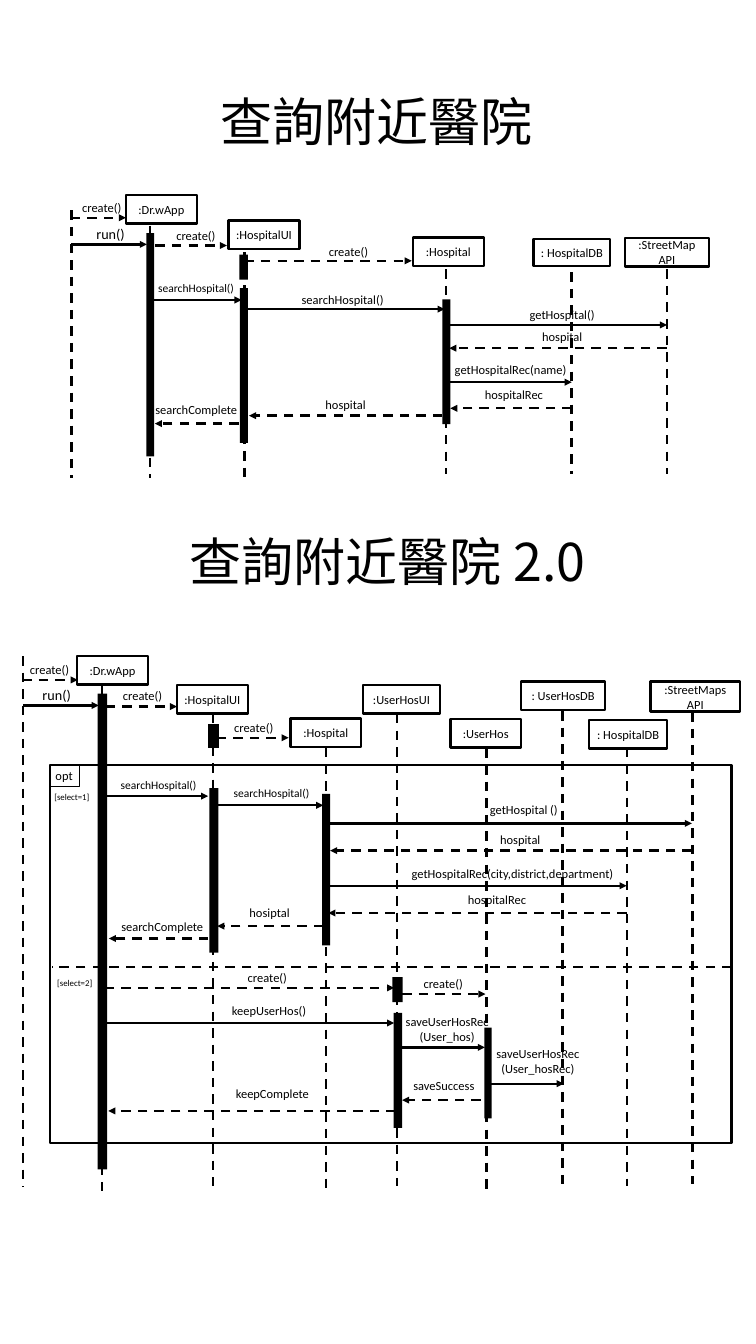
from dataclasses import dataclass
from typing import NamedTuple

from lxml import etree
from pptx import Presentation
from pptx.dml.color import RGBColor
from pptx.enum.dml import MSO_LINE_DASH_STYLE as Dash
from pptx.enum.shapes import MSO_CONNECTOR as Connector, MSO_SHAPE as Shape
from pptx.enum.text import MSO_ANCHOR as Anchor, MSO_AUTO_SIZE as AutoSize, PP_ALIGN as Align
from pptx.oxml.ns import qn
from pptx.util import Inches, Pt


@dataclass(frozen=True)
class Theme:
    ink: RGBColor = RGBColor(0, 0, 0)
    font: str = "Calibri"
    title_font: str = "Noto Sans CJK SC"
    title: float = 66
    run: float = 18
    body: float = 15.8
    search: float = 14.6
    guard: float = 11.2
    line: float = 3
    thin: float = 0.75


THEME = Theme()
SOLID, DASHED = False, True


class Box(NamedTuple):
    left: float
    top: float
    width: float
    height: float
    text: str = ""


class Lifeline(NamedTuple):
    x: float
    top: float
    bottom: float


class Label(NamedTuple):
    text: str
    left: float
    top: float
    width: float
    size: float = THEME.body


class Message(NamedTuple):
    start: float
    end: float
    y: float
    dashed: bool
    label: Label


class Diagram(NamedTuple):
    title: Label
    lifelines: list[Lifeline]
    objects: list[Box]
    activations: list[Box]
    messages: list[Message]


SEARCH = Diagram(
    Label("查詢附近醫院", 3.79, 1.53, 5.76, THEME.title),
    [Lifeline(1.26, 3.71, 8.43), Lifeline(2.65, 3.98, 8.43), Lifeline(4.31, 4.45, 8.43),
     Lifeline(7.86, 4.75, 8.35), Lifeline(10.08, 4.8, 8.35), Lifeline(11.76, 4.75, 8.35)],
    [Box(2.22, 3.44, 1.25, 0.5, ":Dr.wApp"), Box(4.03, 3.89, 1.25, 0.5, ":HospitalUI"),
     Box(7.28, 4.19, 1.25, 0.5, ":Hospital"), Box(9.41, 4.21, 1.35, 0.48, ": HospitalDB"),
     Box(11.02, 4.2, 1.48, 0.5, ":StreetMap\nAPI")],
    [Box(2.58, 4.11, 0.14, 3.94), Box(4.22, 4.49, 0.15, 0.44),
     Box(4.23, 5.08, 0.14, 2.73), Box(7.8, 5.28, 0.14, 2.2)],
    [Message(1.25, 2.22, 3.84, DASHED, Label("create()", 1.35, 3.47, 0.9)),
     Message(1.26, 2.59, 4.31, SOLID, Label("run()", 1.6, 3.92, 0.71, THEME.run)),
     Message(2.74, 4, 4.33, DASHED, Label("create()", 3.01, 3.97, 0.9)),
     Message(4.31, 7.26, 4.6, DASHED, Label("create()", 5.7, 4.26, 0.9)),
     Message(2.66, 4.26, 5.29, SOLID, Label("searchHospital()", 2.69, 4.9, 1.56, THEME.search)),
     Message(4.27, 7.84, 5.45, SOLID, Label("searchHospital()", 5.22, 5.1, 1.68)),
     Message(7.92, 11.76, 5.73, SOLID, Label("getHospital()", 9.24, 5.36, 1.35)),
     Message(11.76, 7.92, 6.14, DASHED, Label("hospital", 9.46, 5.76, 0.91)),
     Message(7.94, 10.08, 6.74, SOLID, Label("getHospitalRec(name)", 7.92, 6.34, 2.26)),
     Message(10.08, 7.94, 7.2, DASHED, Label("hospitalRec", 8.45, 6.78, 1.23)),
     Message(7.8, 4.39, 7.33, DASHED, Label("hospital", 5.64, 6.95, 0.91)),
     Message(4.21, 2.73, 7.47, DASHED, Label("searchComplete", 2.64, 7.04, 1.66))])

SEARCH_2 = Diagram(
    Label("查詢附近醫院 2.0", 3.25, 9.29, 7.27, THEME.title),
    [Lifeline(0.4, 11.57, 20.92), Lifeline(1.8, 12.08, 21.04), Lifeline(3.76, 12.58, 20.92),
     Lifeline(5.75, 13.19, 21.04), Lifeline(7, 12.59, 20.92), Lifeline(8.58, 13.2, 21.04),
     Lifeline(9.92, 12.54, 20.92), Lifeline(11.05, 13.19, 20.92), Lifeline(12.21, 12.56, 20.88)],
    [Box(1.36, 11.57, 1.25, 0.5, ":Dr.wApp"), Box(3.12, 12.08, 1.25, 0.5, ":HospitalUI"),
     Box(5.12, 12.67, 1.25, 0.5, ":Hospital"), Box(6.4, 12.08, 1.36, 0.5, ":UserHosUI"),
     Box(7.94, 12.68, 1.25, 0.5, ":UserHos"), Box(9.19, 12.02, 1.48, 0.5, ": UserHosDB"),
     Box(10.39, 12.7, 1.37, 0.5, ": HospitalDB"),
     Box(11.47, 12.02, 1.58, 0.53, ":StreetMaps\nAPI")],
    [Box(1.72, 12.23, 0.17, 8.39), Box(3.67, 12.77, 0.19, 0.42), Box(3.69, 13.9, 0.16, 2.9),
     Box(5.68, 14, 0.14, 2.67), Box(6.92, 17.23, 0.18, 0.44), Box(6.94, 17.86, 0.15, 2.03),
     Box(8.54, 18.12, 0.13, 1.6)],
    [Message(0.39, 1.37, 11.99, DASHED, Label("create()", 0.43, 11.62, 0.9)),
     Message(0.41, 1.74, 12.44, SOLID, Label("run()", 0.65, 12.06, 0.71, THEME.run)),
     Message(1.86, 3.12, 12.46, DASHED, Label("create()", 2.07, 12.09, 0.9)),
     Message(3.82, 5.09, 13.01, DASHED, Label("create()", 4.03, 12.65, 0.9)),
     Message(1.89, 3.67, 14.04, SOLID, Label("searchHospital()", 2.03, 13.67, 1.56, THEME.search)),
     Message(3.7, 5.7, 14.2, SOLID, Label("searchHospital()", 4.02, 13.82, 1.56, THEME.search)),
     Message(5.82, 12.2, 14.52, SOLID, Label("getHospital ()", 8.54, 14.1, 1.42)),
     Message(12.2, 5.82, 15, DASHED, Label("hospital", 8.72, 14.62, 0.92)),
     Message(5.78, 11.05, 15.62, SOLID,
             Label("getHospitalRec(city,district,department)", 7.16, 15.22, 3.85)),
     Message(11.05, 5.79, 16.1, DASHED, Label("hospitalRec", 8.15, 15.68, 1.25)),
     Message(5.7, 3.83, 16.33, DASHED, Label("hosiptal", 4.3, 15.91, 0.91)),
     Message(3.67, 1.92, 16.55, DASHED, Label("searchComplete", 2.04, 16.15, 1.65)),
     Message(1.85, 6.95, 17.42, DASHED, Label("create()", 4.27, 17.05, 0.9)),
     Message(7.09, 8.56, 17.53, DASHED, Label("create()", 7.37, 17.16, 0.9)),
     Message(1.87, 6.95, 18.04, SOLID, Label("keepUserHos()", 3.99, 17.63, 1.52)),
     Message(7.09, 8.55, 18.47, SOLID, Label("saveUserHosRec\n(User_hos)", 7.05, 17.83, 1.67)),
     Message(8.57, 9.94, 19.11, SOLID, Label("saveUserHosRec\n(User_hosRec)", 8.58, 18.4, 1.81)),
     Message(8.48, 7.09, 19.4, DASHED, Label("saveSuccess", 7.19, 18.96, 1.28)),
     Message(6.98, 1.91, 19.59, DASHED, Label("keepComplete", 4.06, 19.1, 1.5))])

OPT_FRAME = Box(0.88, 13.49, 12.02, 6.67)
OPT_TAB = Box(0.88, 13.49, 0.52, 0.37, "opt")
OPT_DIVIDER_Y = 17.05
GUARDS = [Label("[select=1]", 0.86, 13.91, 0.83, THEME.guard),
          Label("[select=2]", 0.91, 17.19, 0.83, THEME.guard)]


def write(text_frame, text: str, size: float, align: Align, font: str = THEME.font) -> None:
    text_frame.text = text
    for paragraph in text_frame.paragraphs:
        paragraph.alignment = align
        for run in paragraph.runs:
            run.font.size = Pt(size)
            run.font.name = font
            run.font.color.rgb = THEME.ink
            etree.SubElement(run.font._element, qn("a:ea"), typeface=font)


def draw_line(slide, x1: float, y1: float, x2: float, y2: float, dashed: bool, arrow: bool = False) -> None:
    connector = slide.shapes.add_connector(
        Connector.STRAIGHT, Inches(x1), Inches(y1), Inches(x2), Inches(y2))
    connector.line.color.rgb = THEME.ink
    connector.line.width = Pt(THEME.line)
    if dashed:
        connector.line.dash_style = Dash.DASH
    if arrow:
        etree.SubElement(connector.line._get_or_add_ln(), qn("a:tailEnd"), type="triangle")
    etree.SubElement(connector._element.spPr, qn("a:effectLst"))


def draw_box(slide, box: Box, filled: bool = False, line: float = THEME.line, align: Align = Align.CENTER) -> None:
    shape = slide.shapes.add_shape(Shape.RECTANGLE, *map(Inches, box[:4]))
    shape.shadow.inherit = False
    if filled:
        shape.fill.solid()
        shape.fill.fore_color.rgb = THEME.ink
        shape.line.fill.background()
    else:
        shape.fill.background()
        shape.line.color.rgb = THEME.ink
        shape.line.width = Pt(line)
    if box.text:
        shape.text_frame.vertical_anchor = Anchor.MIDDLE
        write(shape.text_frame, box.text, THEME.body, align)


def draw_label(slide, label: Label, font: str = THEME.font, wrap: bool = False) -> None:
    lines = label.text.count("\n") + 1
    height = 0.1 + lines * label.size / 60
    text_box = slide.shapes.add_textbox(*map(Inches, (label.left, label.top, label.width, height)))
    text_box.text_frame.word_wrap = wrap
    text_box.text_frame.auto_size = AutoSize.SHAPE_TO_FIT_TEXT
    write(text_box.text_frame, label.text, label.size, Align.CENTER if lines > 1 else Align.LEFT, font)


def draw_diagram(slide, diagram: Diagram) -> None:
    draw_label(slide, diagram.title, THEME.title_font, wrap=True)
    for x, top, bottom in diagram.lifelines:
        draw_line(slide, x, top, x, bottom, DASHED)
    for box in diagram.objects:
        draw_box(slide, box)
    for bar in diagram.activations:
        draw_box(slide, bar, filled=True)
    for message in diagram.messages:
        draw_line(slide, message.start, message.y, message.end, message.y, message.dashed, arrow=True)
        draw_label(slide, message.label)


def draw_opt_frame(slide) -> None:
    draw_box(slide, OPT_FRAME)
    draw_box(slide, OPT_TAB, line=THEME.thin, align=Align.LEFT)
    draw_line(slide, OPT_FRAME.left + OPT_FRAME.width, OPT_DIVIDER_Y, 0.91, OPT_DIVIDER_Y, DASHED)
    for guard in GUARDS:
        draw_label(slide, guard)


def main() -> None:
    presentation = Presentation()
    presentation.slide_width, presentation.slide_height = Inches(13.33), Inches(23.7)
    slide = presentation.slides.add_slide(presentation.slide_layouts[6])
    draw_diagram(slide, SEARCH)
    draw_opt_frame(slide)
    draw_diagram(slide, SEARCH_2)
    presentation.save("out.pptx")


if __name__ == "__main__":
    main()
